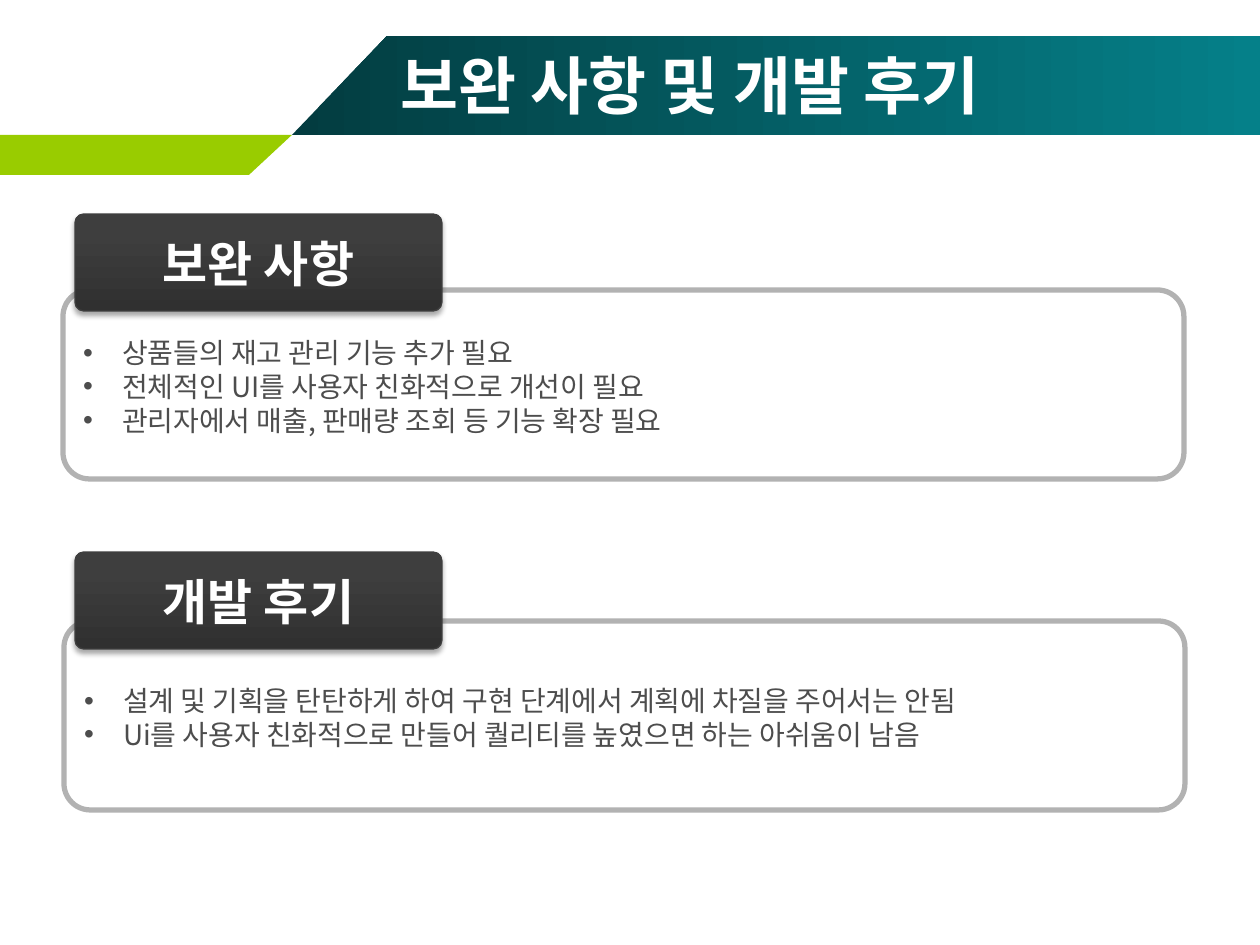
import dataclasses

import pptx
import pptx.dml.color
import pptx.enum.shapes
import pptx.enum.text
import pptx.oxml
import pptx.oxml.ns
import pptx.util

EMU_PER_PX = 914400 / 126
NAMESPACE = pptx.oxml.ns.nsdecls("a")
ROUNDED = pptx.enum.shapes.MSO_SHAPE.ROUNDED_RECTANGLE
ALIGN = pptx.enum.text.PP_ALIGN
MIDDLE = pptx.enum.text.MSO_ANCHOR.MIDDLE


# Colours and type sizes
@dataclasses.dataclass(frozen=True)
class Theme:
    font: str = "Noto Sans CJK KR"
    white: str = "FFFFFF"
    body: str = "4D4D4D"
    frame: str = "B2B2B2"
    green: str = "99CC00"
    heading_line: str = "3F3F3F"
    banner: tuple = ((0, "033C40"), (1, "058089"))
    heading: tuple = ((0, "303030"), (0.8, "3E3E3E"))
    title_size: int = 36
    heading_size: int = 28
    body_size: int = 16
    body_spacing: float = 19.2


@dataclasses.dataclass(frozen=True)
class Panel:
    heading: str
    heading_top: int
    frame_left: int
    frame_top: int
    bullets: tuple


THEME = Theme()
PANELS = (
    Panel("개발 후기", 552, 64, 621,
          ("설계 및 기획을 탄탄하게 하여 구현 단계에서 계획에 차질을 주어서는 안됨",
           "Ui를 사용자 친화적으로 만들어 퀄리티를 높였으면 하는 아쉬움이 남음")),
    Panel("보완 사항", 214, 63, 290,
          ("상품들의 재고 관리 기능 추가 필요",
           "전체적인 UI를 사용자 친화적으로 개선이 필요",
           "관리자에서 매출, 판매량 조회 등 기능 확장 필요")),
)


def px(length: int) -> int:
    return round(length * EMU_PER_PX)


def rgb(colour: str) -> pptx.dml.color.RGBColor:
    return pptx.dml.color.RGBColor.from_string(colour)


def fill_solid(shape, colour: str) -> None:
    shape.fill.solid()
    shape.fill.fore_color.rgb = rgb(colour)


def fill_gradient(shape, stops: tuple, angle: int) -> None:
    shape.fill.gradient()
    shape.fill.gradient_angle = angle
    for stop, (position, colour) in zip(shape.fill.gradient_stops, stops):
        stop.position = position
        stop.color.rgb = rgb(colour)


def write(box, text: str, *, size: int, colour: str, bold: bool = False,
          align=ALIGN.LEFT, wrap: bool = True, bullet: bool = False,
          spacing: float | None = None) -> None:
    """Fill a shape with one paragraph per line of text."""
    frame = box.text_frame
    frame.word_wrap = wrap
    frame.vertical_anchor = MIDDLE
    for index, line in enumerate(text.split("\n")):
        para = frame.add_paragraph() if index else frame.paragraphs[0]
        para.alignment = align
        if spacing:
            para.line_spacing = pptx.util.Pt(spacing)
        if bullet:
            properties = para._p.get_or_add_pPr()
            properties.set("marL", str(px(39)))
            properties.set("indent", str(-px(39)))
            properties.append(pptx.oxml.parse_xml(
                f'<a:buFont {NAMESPACE} typeface="Arial"/>'))
            properties.append(pptx.oxml.parse_xml(
                f'<a:buChar {NAMESPACE} char="•"/>'))
        span = para.add_run()
        span.text = line
        span.font.name = THEME.font
        span.font.size = pptx.util.Pt(size)
        span.font.bold = bold
        span.font.color.rgb = rgb(colour)
        span.font._element.append(pptx.oxml.parse_xml(
            f'<a:ea {NAMESPACE} typeface="{THEME.font}"/>'))


def add_polygon(page, points: tuple):
    builder = page.shapes.build_freeform(*points[0], scale=EMU_PER_PX)
    builder.add_line_segments(points[1:], close=True)
    shape = builder.convert_to_shape()
    shape.shadow.inherit = False
    shape.line.fill.background()
    return shape


def add_rounded(page, left: int, top: int, width: int, height: int, *,
                radius: float, line: str, weight: float):
    shape = page.shapes.add_shape(
        ROUNDED, px(left), px(top), px(width), px(height))
    shape.adjustments[0] = radius
    shape.shadow.inherit = False
    shape.line.color.rgb = rgb(line)
    shape.line.width = pptx.util.Pt(weight)
    return shape


def add_panel(page, panel: Panel) -> None:
    # Translucent frame with bullets
    frame = add_rounded(page, panel.frame_left, panel.frame_top, 1121, 189,
                        radius=0.14, line=THEME.frame, weight=3)
    fill_solid(frame, THEME.white)
    colour = frame._element.spPr.find(".//" + pptx.oxml.ns.qn("a:srgbClr"))
    colour.append(pptx.oxml.parse_xml(f'<a:alpha {NAMESPACE} val="31000"/>'))
    frame.text_frame.margin_top = px(10)
    write(frame, "\n".join(panel.bullets), size=THEME.body_size,
          colour=THEME.body, bullet=True, spacing=THEME.body_spacing)

    # Heading plate with a soft shadow
    plate = add_rounded(page, 75, panel.heading_top, 367, 97,
                        radius=0.09, line=THEME.heading_line, weight=0.75)
    fill_gradient(plate, THEME.heading, 90)
    effects = plate._element.spPr.find(pptx.oxml.ns.qn("a:effectLst"))
    effects.append(pptx.oxml.parse_xml(
        f'<a:outerShdw {NAMESPACE} blurRad="{pptx.util.Pt(3.1)}" '
        f'dist="{pptx.util.Pt(1.8)}" dir="5400000" rotWithShape="0">'
        '<a:srgbClr val="000000"><a:alpha val="35000"/></a:srgbClr>'
        '</a:outerShdw>'))
    write(plate, panel.heading, size=THEME.heading_size, colour=THEME.white,
          bold=True, align=ALIGN.CENTER, wrap=False)


def main() -> None:
    deck = pptx.Presentation()
    deck.slide_width, deck.slide_height = px(1260), px(945)
    page = deck.slides.add_slide(deck.slide_layouts[6])

    # Banner and accent strip
    banner = add_polygon(
        page, ((292, 135), (1260, 135), (1260, 36), (387, 36)))
    fill_gradient(banner, THEME.banner, 0)
    strip = add_polygon(page, ((0, 135), (292, 135), (249, 175), (0, 175)))
    fill_solid(strip, THEME.green)

    # Title
    title = page.shapes.add_textbox(px(388), px(45), px(840), px(78))
    write(title, "보완 사항 및 개발 후기", size=THEME.title_size,
          colour=THEME.white, bold=True)

    # Panels
    for panel in PANELS:
        add_panel(page, panel)

    deck.save("out.pptx")


if __name__ == "__main__":
    main()
